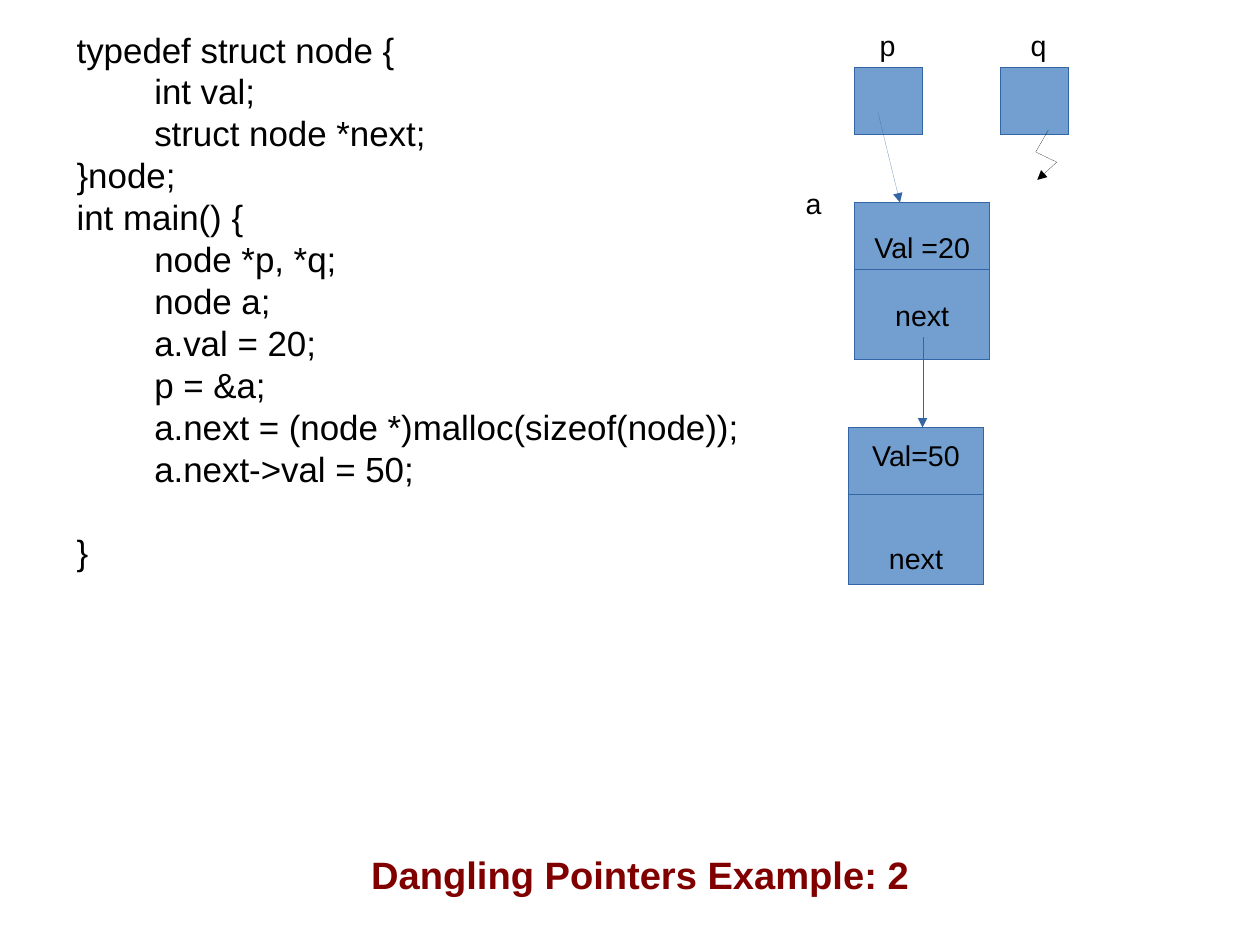
from pptx import Presentation
from pptx.dml.color import RGBColor
from pptx.enum import shapes as sh, text as tx
from pptx.oxml.ns import qn
from pptx.util import Pt
from lxml import etree

BLUE, EDGE, BLACK, MAROON = "729FCF", "3465A4", "000000", "800000"
LEAD = 1.2  # line height over font size
INDENT = 48.9

# (indent level, blank lines before, text)
CODE = [
    (0, 0, "typedef struct node {"),
    (1, 0, "int val;"),
    (1, 0, "struct node *next;"),
    (0, 0, "}node;"),
    (0, 0, "int main() {"),
    (1, 0, "node *p, *q;"),
    (1, 0, "node a;"),
    (1, 0, "a.val = 20;"),
    (1, 0, "p = &a;"),
    (1, 0, "a.next = (node *)malloc(sizeof(node));"),
    (1, 0, "a.next->val = 50;"),
    (0, 1, "}"),
]
TITLE = "Dangling Pointers Example: 2"
CELL, NODE_W, NODE_H = 42.5, 85, 99.2
# name, label left, cell left
POINTERS = [("p", 547, 538.3), ("q", 642, 630.3)]
# left, top, value, blank lines between value and next
NODES = [(538.3, 127.6, "Val =20", 1), (534.4, 269.3, "Val=50", 2)]
ARROWS = [((553, 70.9), (566.9, 127.6)), ((581.1, 212.6), (581.1, 269.3))]
ZIGZAG = [(660.2, 82.1), (652.3, 95.8), (665.6, 102.2), (653.3, 113.4)]

prs = Presentation()
prs.slide_width, prs.slide_height = Pt(793.6), Pt(595.3)
slide = prs.slides.add_slide(prs.slide_layouts[6])
items = slide.shapes


def color(code):
    return RGBColor.from_string(code)


def write(shape, lines, size=18, ink=BLACK, bold=False, center=False, wrap=True):
    """Fill a shape with lines given as (indent level, blank lines before, text)."""
    frame = shape.text_frame
    frame.word_wrap = wrap
    for i, (level, gap, line) in enumerate(lines):
        par = frame.add_paragraph() if i else frame.paragraphs[0]
        par.alignment = tx.PP_ALIGN.CENTER if center else tx.PP_ALIGN.LEFT
        par.line_spacing = Pt(size * LEAD)
        par.space_before = Pt(gap * size * LEAD)
        if level:
            par._p.get_or_add_pPr().set("marL", str(Pt(level * INDENT)))
        run = par.add_run()
        run.text = line
        font = run.font
        font.name, font.size, font.bold = "Arial", Pt(size), bold
        font.color.rgb = color(ink)


def label(x, y, w, h, lines, **style):
    write(items.add_textbox(Pt(x), Pt(y), Pt(w), Pt(h)), lines, **style)


def stroke(shape, ink=EDGE, arrow=False):
    """Give a shape a hairline, with an arrowhead at its end if asked."""
    shape.line.color.rgb = color(ink)
    ln = shape._element.spPr.find(qn("a:ln"))
    ln.set("w", "0")  # line.width drops a zero, and the theme width returns
    if arrow:
        etree.SubElement(ln, qn("a:tailEnd"), type="triangle")


def box(x, y, w, h):
    rect = items.add_shape(sh.MSO_SHAPE.RECTANGLE, Pt(x), Pt(y), Pt(w), Pt(h))
    rect.shadow.inherit = False
    rect.fill.solid()
    rect.fill.fore_color.rgb = color(BLUE)
    stroke(rect)
    return rect


def link(start, end, arrow=False):
    ends = [Pt(v) for v in (*start, *end)]
    line = items.add_connector(sh.MSO_CONNECTOR.STRAIGHT, *ends)
    stroke(line, arrow=arrow)
    etree.SubElement(line._element.spPr, qn("a:effectLst"))


label(41.2, 14.2, 440.6, 350, CODE, size=22)
for name, left, cell in POINTERS:
    box(cell, CELL, CELL, CELL)
    label(left, 14.2, 24.5, 27.4, [(0, 0, name)], wrap=False)

label(500.4, 113.4, 24.5, 42.5, [(0, 0, "a")])
for x, y, value, gap in NODES:
    node = box(x, y, NODE_W, NODE_H)
    node.text_frame.vertical_anchor = tx.MSO_ANCHOR.MIDDLE
    write(node, [(0, 0, value), (0, gap, "next")], center=True)
    link((x, y + CELL), (x + NODE_W, y + CELL))

for start, end in ARROWS:
    link(start, end, arrow=True)

points = [(Pt(x), Pt(y)) for x, y in ZIGZAG]
pen = items.build_freeform(*points[0])
pen.add_line_segments(points[1:], close=False)
zigzag = pen.convert_to_shape()
zigzag.shadow.inherit = False
zigzag.fill.background()
stroke(zigzag, BLACK, arrow=True)

label(223.2, 532.8, 360, 33.8, [(0, 0, TITLE)],
      size=24, ink=MAROON, bold=True, center=True)

prs.save("out.pptx")
